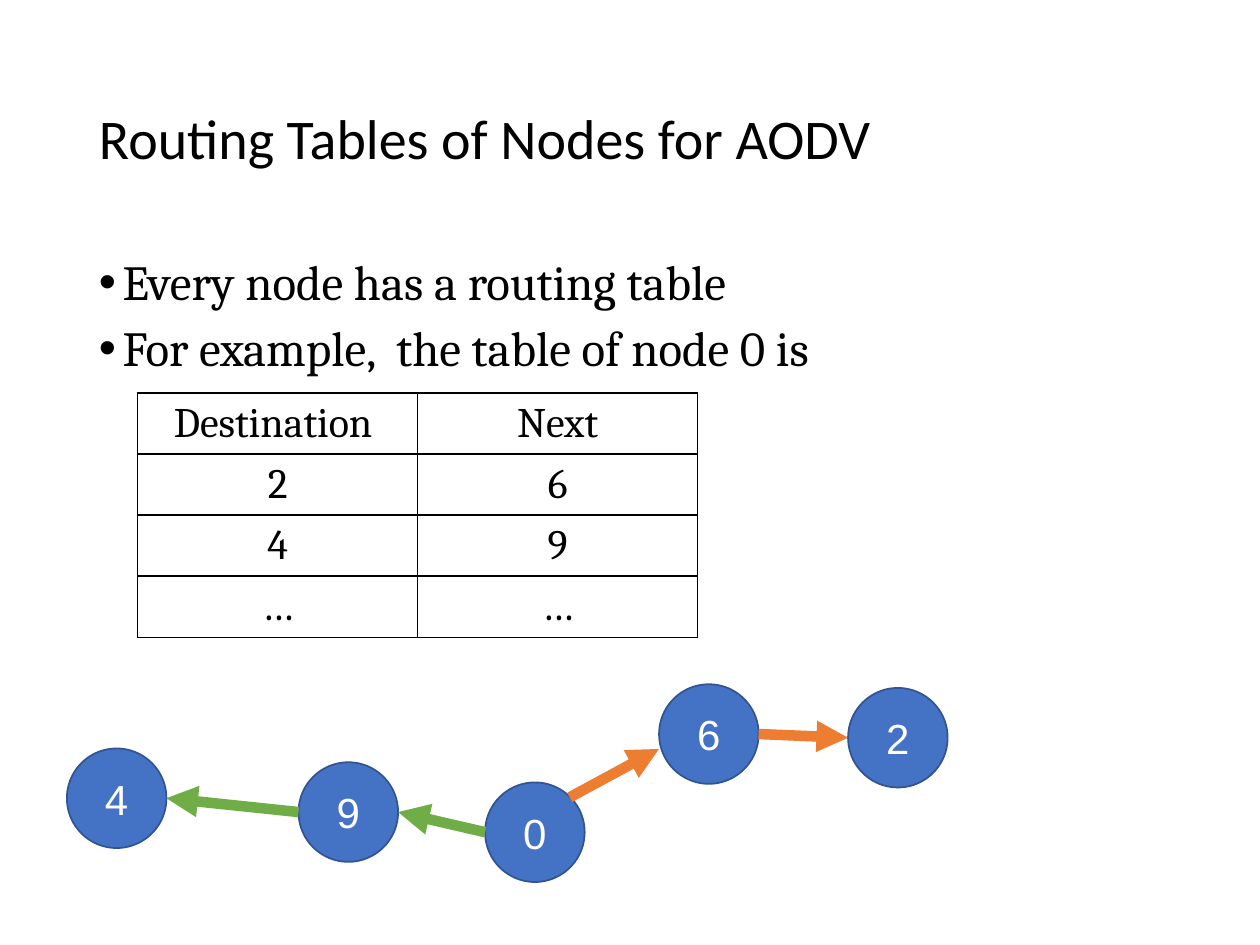
from lxml import etree
from pptx import Presentation
from pptx.dml.color import RGBColor
from pptx.enum.shapes import MSO_CONNECTOR, MSO_SHAPE
from pptx.enum.text import MSO_ANCHOR, PP_ALIGN
from pptx.oxml.ns import qn
from pptx.util import Pt

STRAIGHT, OVAL = MSO_CONNECTOR.STRAIGHT, MSO_SHAPE.OVAL
MIDDLE, TOP, CENTER = MSO_ANCHOR.MIDDLE, MSO_ANCHOR.TOP, PP_ALIGN.CENTER

COLORS = {
    "text": "000000",
    "node": "4472C4",
    "node_line": "325491",
    "node_text": "FFFFFF",
    "orange": "ED7D31",
    "green": "70AD47",
}

ROUTES = [("Destination ", "Next"), ("2", "6"), ("4", "9"), ("…", "…")]

# Left and top of each network node
NODE_SIZE = 56.9
NODES = {
    "0": (277.2, 447.1),
    "9": (170.6, 435.6),
    "6": (376.6, 391),
    "2": (484.6, 393.1),
    "4": (38.2, 427.7),
}

# Arrow ends as fractions of the node's box
LEFT, RIGHT = (0, 0.5), (1, 0.5)
UPPER_RIGHT, LOWER_LEFT = (0.85, 0.15), (0, 0.65)
HOPS = [
    ("0", UPPER_RIGHT, "6", LOWER_LEFT, "orange"),
    ("6", RIGHT, "2", LEFT, "orange"),
    ("0", LEFT, "9", RIGHT, "green"),
    ("9", LEFT, "4", RIGHT, "green"),
]


def rgb(name):
    return RGBColor.from_string(COLORS[name])


def style(paragraph, font_name, size, color="text"):
    paragraph.font.name = font_name
    paragraph.font.size = Pt(size)
    paragraph.font.color.rgb = rgb(color)


def add_bullet(paragraph):
    properties = paragraph._p.get_or_add_pPr()
    properties.set("marL", str(Pt(13.5)))
    properties.set("indent", str(Pt(-13.5)))
    etree.SubElement(properties, qn("a:buFont"), typeface="Arial")
    etree.SubElement(properties, qn("a:buChar"), char="•")


def add_text(slide, box, lines, font_name, size, anchor=TOP, bullets=False):
    frame = slide.shapes.add_textbox(*map(Pt, box)).text_frame
    frame.word_wrap = True
    frame.vertical_anchor = anchor
    frame.text = "\n".join(lines)
    for paragraph in frame.paragraphs:
        paragraph.line_spacing = 0.9
        if bullets:
            paragraph.space_before = Pt(7.5)
            add_bullet(paragraph)
        style(paragraph, font_name, size)


def add_cell_borders(cell):
    properties = cell._tc.get_or_add_tcPr()
    for index, side in enumerate(("a:lnL", "a:lnR", "a:lnT", "a:lnB")):
        line = etree.Element(qn(side), w=str(Pt(1)))
        fill = etree.SubElement(line, qn("a:solidFill"))
        etree.SubElement(fill, qn("a:srgbClr"), val=COLORS["text"])
        properties.insert(index, line)


def add_routing_table(slide, left, top, column_width, row_height):
    rows, columns = len(ROUTES), len(ROUTES[0])
    table = slide.shapes.add_table(
        rows, columns, Pt(left), Pt(top),
        Pt(columns * column_width), Pt(rows * row_height)).table
    table.first_row = table.horz_banding = False
    for row, values in enumerate(ROUTES):
        for column, value in enumerate(values):
            cell = table.cell(row, column)
            cell.text = value
            cell.vertical_anchor = MIDDLE
            cell.margin_top = cell.margin_bottom = Pt(3)
            cell.fill.background()
            add_cell_borders(cell)
            paragraph = cell.text_frame.paragraphs[0]
            paragraph.alignment = CENTER
            style(paragraph, "Cambria", 24)


def add_node(slide, label):
    left, top = NODES[label]
    shape = slide.shapes.add_shape(
        OVAL, Pt(left), Pt(top), Pt(NODE_SIZE), Pt(NODE_SIZE))
    shape.shadow.inherit = False
    shape.fill.solid()
    shape.fill.fore_color.rgb = rgb("node")
    shape.line.color.rgb = rgb("node_line")
    shape.line.width = Pt(1)
    frame = shape.text_frame
    frame.text = label
    frame.vertical_anchor = MIDDLE
    paragraph = frame.paragraphs[0]
    paragraph.alignment = CENTER
    style(paragraph, "Arial", 24, "node_text")


def point_on(label, fractions):
    return [Pt(start + NODE_SIZE * fraction)
            for start, fraction in zip(NODES[label], fractions)]


def add_hop(slide, source, source_side, target, target_side, color):
    connector = slide.shapes.add_connector(
        STRAIGHT, *point_on(source, source_side),
        *point_on(target, target_side))
    connector.line.color.rgb = rgb(color)
    connector.line.width = Pt(6)
    line = connector.line._get_or_add_ln()
    etree.SubElement(line, qn("a:tailEnd"), type="triangle")
    etree.SubElement(connector._element.spPr, qn("a:effectLst"))


def main():
    presentation = Presentation()
    presentation.slide_width, presentation.slide_height = Pt(720), Pt(540)
    slide = presentation.slides.add_slide(presentation.slide_layouts[6])

    # Title and bullets
    add_text(slide, (49.5, 28.8, 621, 104.4),
             ["Routing Tables of Nodes for AODV"], "Calibri", 32, MIDDLE)
    add_text(slide, (49.5, 144, 621, 342.7),
             ["Every node has a routing table",
              "For example,  the table of node 0 is"],
             "Cambria", 28, bullets=True)

    # Routing table of node 0
    add_routing_table(slide, 78.7, 224.6, 160, 34.9)

    # Network nodes and the routes from node 0
    for label in NODES:
        add_node(slide, label)
    for hop in HOPS:
        add_hop(slide, *hop)

    presentation.save("out.pptx")


if __name__ == "__main__":
    main()
